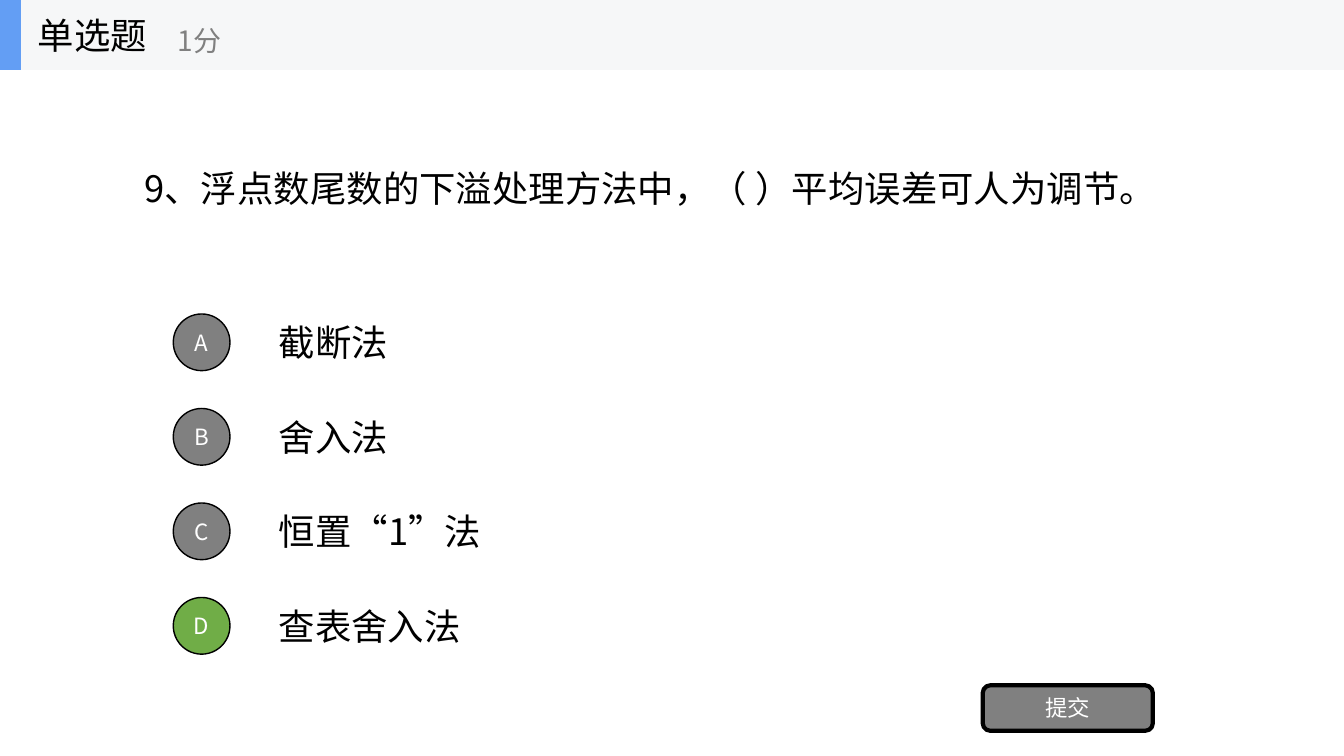
from lxml import etree
from pptx import Presentation
from pptx.dml.color import RGBColor
from pptx.enum import shapes, text
from pptx.oxml.ns import qn
from pptx.util import Pt

KIND = "单选题"
SCORE = "1分"
QUESTION = "9、浮点数尾数的下溢处理方法中，（ ）平均误差可人为调节。"
OPTIONS = [("A", "截断法"), ("B", "舍入法"), ("C", "恒置“1”法"), ("D", "查表舍入法")]
ANSWER = "D"
SUBMIT = "提交"

FONT = "Noto Sans CJK SC"
BLACK = RGBColor(0x00, 0x00, 0x00)
WHITE = RGBColor(0xFF, 0xFF, 0xFF)
GRAY = RGBColor(0x80, 0x80, 0x80)
GREEN = RGBColor(0x70, 0xAD, 0x47)
BLUE = RGBColor(0x63, 0x9E, 0xF4)
PALE = RGBColor(0xF6, 0xF7, 0xF8)

WIDTH, HEIGHT = 960, 540
HEADER_H = 50
OPTION_TOP, OPTION_STEP, OPTION_H = 219.5, 67.5, 50
BADGE = 40.5
BODY_SIZE, SCORE_SIZE, LABEL_SIZE = 26, 20, 16

prs = Presentation()
prs.slide_width, prs.slide_height = Pt(WIDTH), Pt(HEIGHT)
s = prs.slides.add_slide(prs.slide_layouts[6])


def write(sp, words, size, color, align=text.PP_ALIGN.LEFT, wrap=True):
    tf = sp.text_frame
    tf.word_wrap = wrap
    tf.vertical_anchor = text.MSO_ANCHOR.MIDDLE
    p = tf.paragraphs[0]
    p.text = words
    p.alignment = align
    f = p.font
    f.size, f.name = Pt(size), FONT
    f.color.rgb = color
    # Chinese characters take the East Asian typeface, which follows a:latin
    latin = p._p.pPr.find(qn("a:defRPr")).find(qn("a:latin"))
    ea = etree.Element(qn("a:ea"), typeface=FONT)
    latin.addnext(ea)


def add_text(words, box, size=BODY_SIZE, color=BLACK, wrap=True):
    write(s.shapes.add_textbox(*map(Pt, box)), words, size, color, wrap=wrap)


def add_block(kind, box, fill, line=0, label=None):
    """Add a filled shape, with a black outline and a centred label if given."""
    sp = s.shapes.add_shape(kind, *map(Pt, box))
    sp.shadow.inherit = False
    sp.fill.solid()
    sp.fill.fore_color.rgb = fill
    if line:
        sp.line.color.rgb = BLACK
        sp.line.width = Pt(line)
    else:
        sp.line.fill.background()
    if label:
        write(sp, label, LABEL_SIZE, WHITE, text.PP_ALIGN.CENTER)


SHAPE = shapes.MSO_SHAPE
add_block(SHAPE.RECTANGLE, (0, 0, WIDTH, HEADER_H), PALE)
add_block(SHAPE.RECTANGLE, (0, 0, 15, HEADER_H), BLUE)
add_text(KIND, (20, 0, 150, HEADER_H), wrap=False)
add_text(SCORE, (120, 9, 180, 40), SCORE_SIZE, GRAY, wrap=False)
add_text(QUESTION, (96, HEADER_H, 768, 168.75))

for i, (letter, answer) in enumerate(OPTIONS):
    top = OPTION_TOP + i * OPTION_STEP
    add_text(answer, (192, top, 672, OPTION_H))
    add_block(SHAPE.OVAL, (123.75, top + (OPTION_H - BADGE) / 2, BADGE, BADGE),
              GREEN if letter == ANSWER else GRAY, 1, letter)

add_block(SHAPE.ROUNDED_RECTANGLE, (702, 489.5, 121.5, 32.5), GRAY, 3, SUBMIT)

prs.save("out.pptx")
